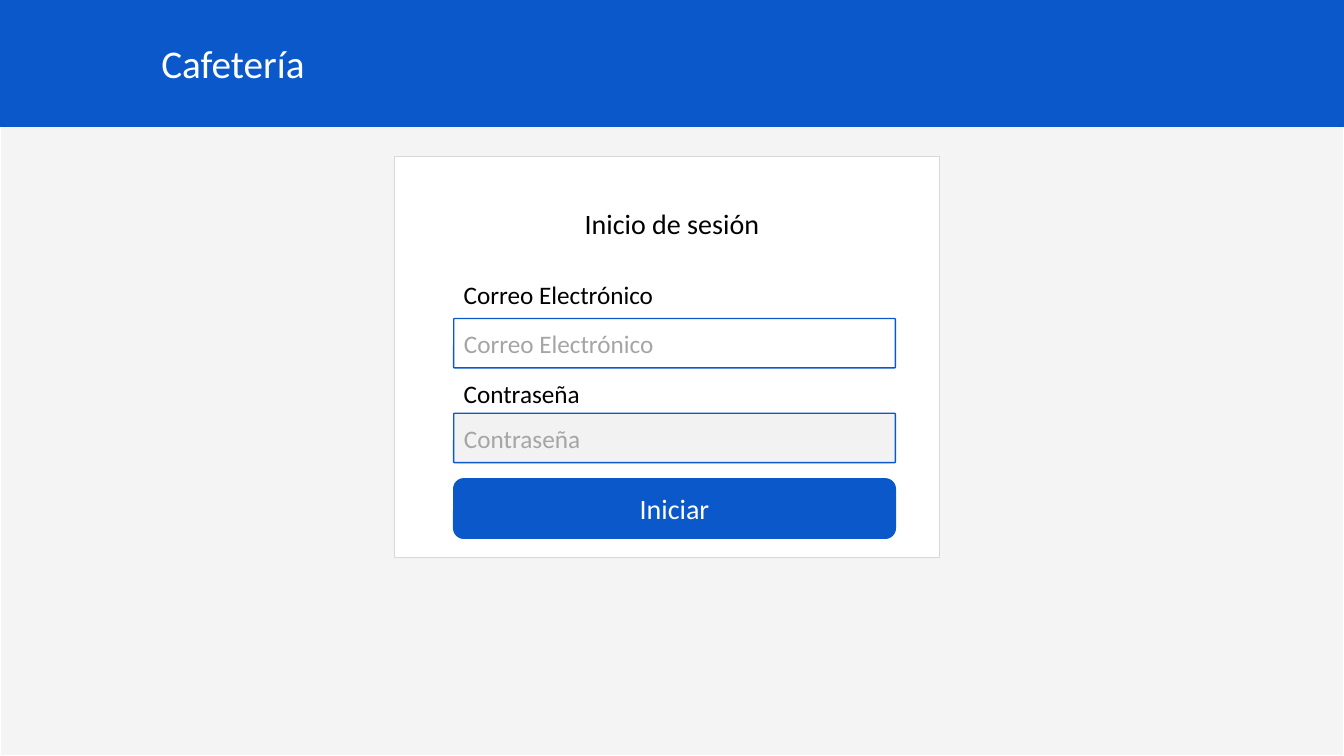
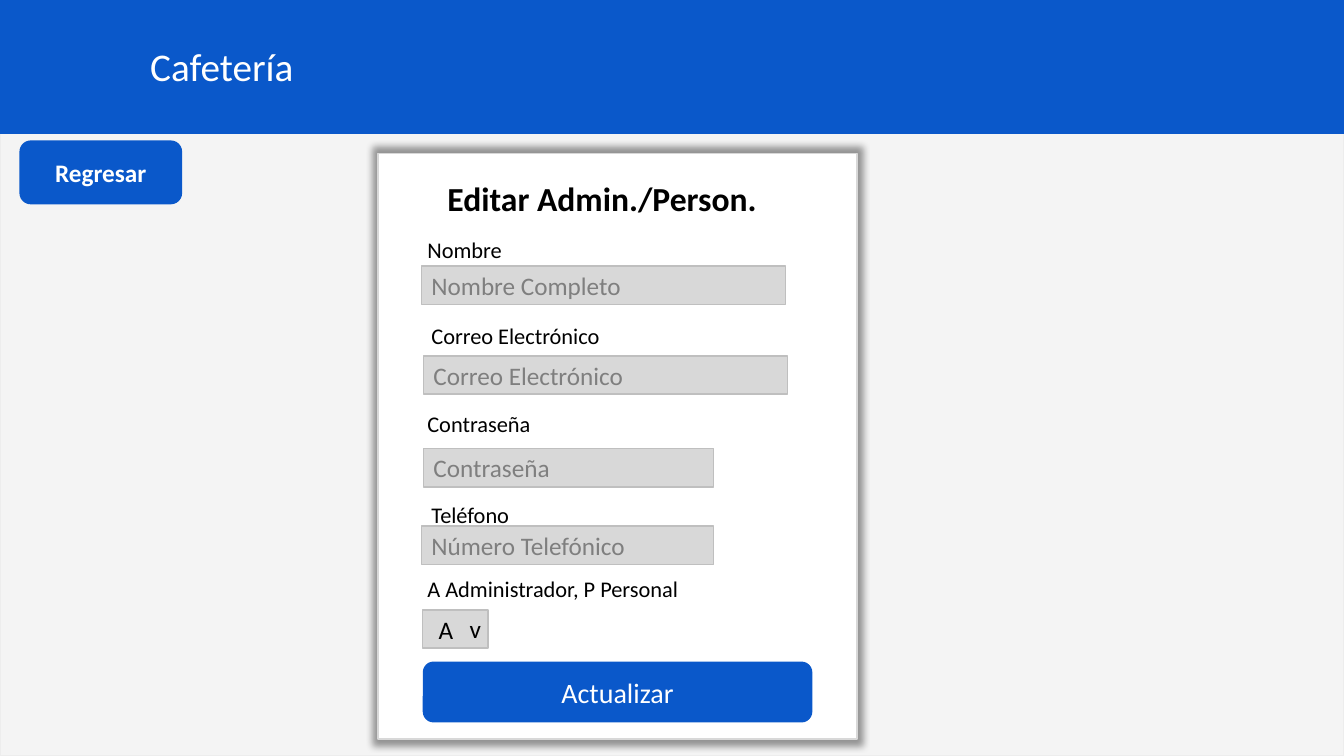
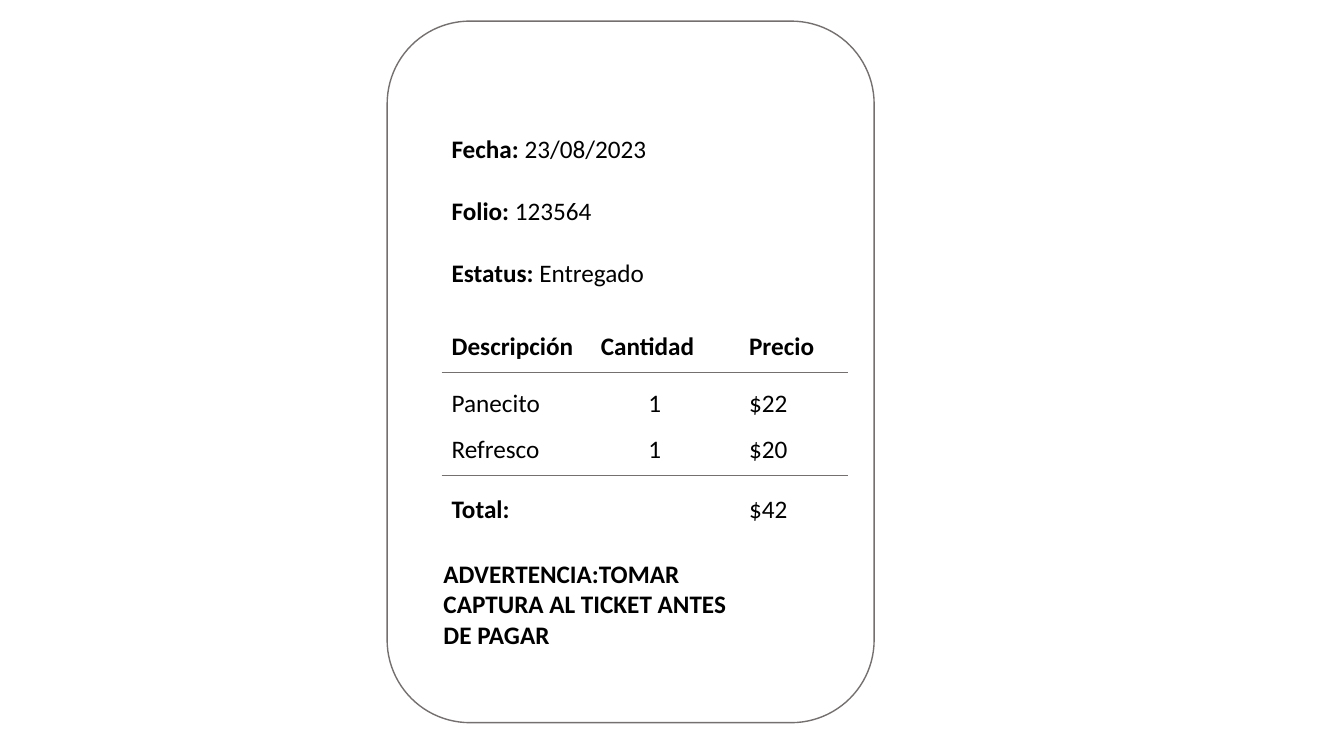
from lxml import etree
from pptx import Presentation
from pptx.dml.color import RGBColor
from pptx.enum.shapes import MSO_CONNECTOR, MSO_SHAPE
from pptx.enum.text import MSO_ANCHOR, MSO_AUTO_SIZE, PP_ALIGN
from pptx.oxml import parse_xml
from pptx.oxml.ns import nsdecls, qn
from pptx.util import Inches, Pt

FONT = "Calibri"
WIDTH, HEIGHT = 13.33, 7.5
TITLE_ONLY, BLANK = 5, 6

BLUE = RGBColor(0x0A, 0x58, 0xCA)
WHITE = RGBColor(0xFF, 0xFF, 0xFF)
BLACK = RGBColor(0, 0, 0)
PAGE = RGBColor(0xF4, 0xF4, 0xF4)
PAGE_EDGE = RGBColor(0xED, 0xED, 0xED)
CARD_EDGE = RGBColor(0xD8, 0xD8, 0xD8)
FIELD = RGBColor(0xD8, 0xD8, 0xD8)
FIELD_EDGE = RGBColor(0xBF, 0xBF, 0xBF)
FIELD_PALE = RGBColor(0xF2, 0xF2, 0xF2)
HINT = RGBColor(0x7F, 0x7F, 0x7F)
HINT_PALE = RGBColor(0xA5, 0xA5, 0xA5)
RULE = RGBColor(0x75, 0x70, 0x70)

# label, label top, field top, field fill
LOGIN_FIELDS = [
    ("Correo Electrónico", 2.72, 3.16, WHITE),
    ("Contraseña", 3.7, 4.1, FIELD_PALE),
]
# label, label left and top, hint, field left, top and width
EDIT_FIELDS = [
    ("Nombre", 4.14, 2.29, "Nombre Completo", 4.18, 2.64, 3.61),
    ("Correo Electrónico", 4.18, 3.15, "Correo Electrónico", 4.2, 3.53, 3.61),
    ("Contraseña", 4.14, 4.02, "Contraseña", 4.2, 4.45, 2.88),
    ("Teléfono", 4.18, 4.92, "Número Telefónico", 4.18, 5.22, 2.9),
]
TICKET_INFO = [("Fecha: ", "23/08/2023"), ("Folio: ", "123564"),
               ("Estatus: ", "Entregado")]
TICKET_ROWS = [
    ("Descripción", "Cantidad", "Precio"),
    ("Panecito", "1", "$22"),
    ("Refresco", "1", "$20"),
    ("Total:", "", "$42"),
]
TABLE_LEFT, TABLE_TOP = 4.38, 3.24
COL_WIDTHS = [1.48, 1.47, 1.08]
ROW_HEIGHTS = [0.46, 0.55, 0.47, 0.54]
ROW_TOP_MARGINS = [0.05, 0.15, 0.06, 0.19]
RULED_ROWS = (0, 2)
QUANTITY_INDENT = 0.57


def style(r, size, color=BLACK, bold=False):
    r.font.name, r.font.size = FONT, Pt(size)
    r.font.color.rgb, r.font.bold = color, bold


def write(tf, text, size, color=BLACK, bold=False, align=PP_ALIGN.LEFT):
    tf.text = text
    p = tf.paragraphs[0]
    p.alignment = align
    for r in p.runs:
        style(r, size, color, bold)


def add_text(s, x, y, w, h, text, size, bold=False):
    tf = s.shapes.add_textbox(Inches(x), Inches(y), Inches(w), Inches(h)).text_frame
    tf.word_wrap = True
    write(tf, text, size, bold=bold)
    return tf


def add_box(s, x, y, w, h, fill, line, radius=None):
    kind = MSO_SHAPE.RECTANGLE if radius is None else MSO_SHAPE.ROUNDED_RECTANGLE
    sp = s.shapes.add_shape(kind, Inches(x), Inches(y), Inches(w), Inches(h))
    if radius is not None:
        sp.adjustments[0] = radius
    sp.shadow.inherit = False
    sp.fill.solid()
    sp.fill.fore_color.rgb = fill
    sp.line.color.rgb = line
    sp.line.width = Pt(1)
    sp.text_frame.vertical_anchor = MSO_ANCHOR.MIDDLE
    return sp


def add_button(s, x, y, w, h, text, size, bold=False):
    sp = add_box(s, x, y, w, h, BLUE, BLUE, 0.17)
    write(sp.text_frame, text, size, WHITE, bold, PP_ALIGN.CENTER)


def add_glow(sp):
    """Give the shape a soft shadow on all four sides."""
    effects = sp._element.spPr.find(qn("a:effectLst"))
    effects.append(parse_xml(
        f'<a:outerShdw {nsdecls("a")} blurRad="63500" sx="102000" sy="102000" '
        'algn="ctr" rotWithShape="0"><a:srgbClr val="000000">'
        '<a:alpha val="40000"/></a:srgbClr></a:outerShdw>'))


def add_screen(prs, edge, band_height, title_x, title_y):
    """Add a slide with the grey page, the blue band and its title."""
    s = prs.slides.add_slide(prs.slide_layouts[TITLE_ONLY])
    add_box(s, 0, 0, WIDTH, HEIGHT, PAGE, edge)
    add_box(s, 0, 0, WIDTH, band_height, BLUE, BLUE)
    title = s.shapes.title
    title.left, title.top = Inches(title_x), Inches(title_y)
    title.width, title.height = Inches(2), Inches(0.57)
    tf = title.text_frame
    tf.auto_size = MSO_AUTO_SIZE.NONE
    tf.vertical_anchor = MSO_ANCHOR.TOP
    write(tf, "Cafetería", 28, WHITE)
    s.shapes._spTree.append(title._element)
    return s


def add_login(prs):
    s = add_screen(prs, WHITE, 1.25, 1.5, 0.34)
    left, width = 4.5, 4.38
    add_box(s, 3.91, 1.55, 5.41, 3.98, WHITE, CARD_EDGE)
    add_text(s, 5.7, 2, 2.49, 0.44, "Inicio de sesión", 20)
    for label, label_y, field_y, fill in LOGIN_FIELDS:
        add_text(s, left, label_y, 3.54, 0.4, label, 18)
        field = add_box(s, left, field_y, width, 0.49, fill, BLUE, 0.02)
        write(field.text_frame, label, 18, HINT_PALE)
    add_button(s, left, 4.75, width, 0.59, "Iniciar", 20)


def add_edit_form(prs):
    s = add_screen(prs, PAGE_EDGE, 1.32, 1.39, 0.37)
    add_glow(add_box(s, 3.75, 1.52, 4.75, 5.81, WHITE, CARD_EDGE))
    add_text(s, 4.34, 1.72, 3.9, 0.5, "Editar Admin./Person.", 24, True)
    for label, label_x, label_y, hint, x, y, w in EDIT_FIELDS:
        add_text(s, label_x, label_y, 2.09, 0.37, label, 16)
        field = add_box(s, x, y, w, 0.38, FIELD, FIELD_EDGE)
        write(field.text_frame, hint, 18, HINT)
    add_text(s, 4.14, 5.66, 3.78, 0.37, "A Administrador, P Personal", 16)
    role = add_box(s, 4.19, 6.05, 0.65, 0.38, FIELD, FIELD_EDGE)
    role.text_frame.margin_left = Inches(0.16)
    write(role.text_frame, "A", 18)
    add_text(s, 4.56, 6.04, 0.4, 0.4, "v", 18)
    add_button(s, 4.2, 6.57, 3.85, 0.59, "Actualizar", 20)
    add_button(s, 0.2, 1.4, 1.6, 0.62, "Regresar", 18, True)


def add_rule(s, x, y, w):
    line = s.shapes.add_connector(
        MSO_CONNECTOR.STRAIGHT, Inches(x), Inches(y), Inches(x + w), Inches(y))
    line.line.color.rgb = RULE
    line.line.width = Pt(0.75)
    etree.SubElement(line._element.spPr, qn("a:effectLst"))


def add_ticket_table(s):
    width = sum(COL_WIDTHS)
    table = s.shapes.add_table(
        len(TICKET_ROWS), len(COL_WIDTHS), Inches(TABLE_LEFT), Inches(TABLE_TOP),
        Inches(width), Inches(sum(ROW_HEIGHTS))).table
    table.first_row = table.horz_banding = False
    for col, w in zip(table.columns, COL_WIDTHS):
        col.width = Inches(w)
    for i, values in enumerate(TICKET_ROWS):
        table.rows[i].height = Inches(ROW_HEIGHTS[i])
        for j, value in enumerate(values):
            cell = table.cell(i, j)
            cell.fill.background()
            cell.margin_top = Inches(ROW_TOP_MARGINS[i])
            cell.margin_right = 0
            if i and j == 1:
                cell.margin_left = Inches(QUANTITY_INDENT)
            write(cell.text_frame, value, 18, bold=i == 0 or value == "Total:")
    for i in RULED_ROWS:
        add_rule(s, TABLE_LEFT, TABLE_TOP + sum(ROW_HEIGHTS[:i + 1]), width)


def add_ticket(prs):
    s = prs.slides.add_slide(prs.slide_layouts[BLANK])
    add_box(s, 3.84, 0.21, 4.83, 6.96, WHITE, RULE, 0.17)
    for i, (label, value) in enumerate(TICKET_INFO):
        tf = add_text(s, 4.38, 1.27 + 0.615 * i, 2.81, 0.4, label, 18, True)
        r = tf.paragraphs[0].add_run()
        r.text = value
        style(r, 18)
    add_ticket_table(s)
    add_text(s, 4.3, 5.49, 3.1, 1.01,
             "ADVERTENCIA:TOMAR CAPTURA AL TICKET ANTES DE PAGAR", 18, True)


def main():
    prs = Presentation()
    prs.slide_width, prs.slide_height = Inches(WIDTH), Inches(HEIGHT)
    add_login(prs)
    add_edit_form(prs)
    add_ticket(prs)
    prs.save("out.pptx")


if __name__ == "__main__":
    main()
